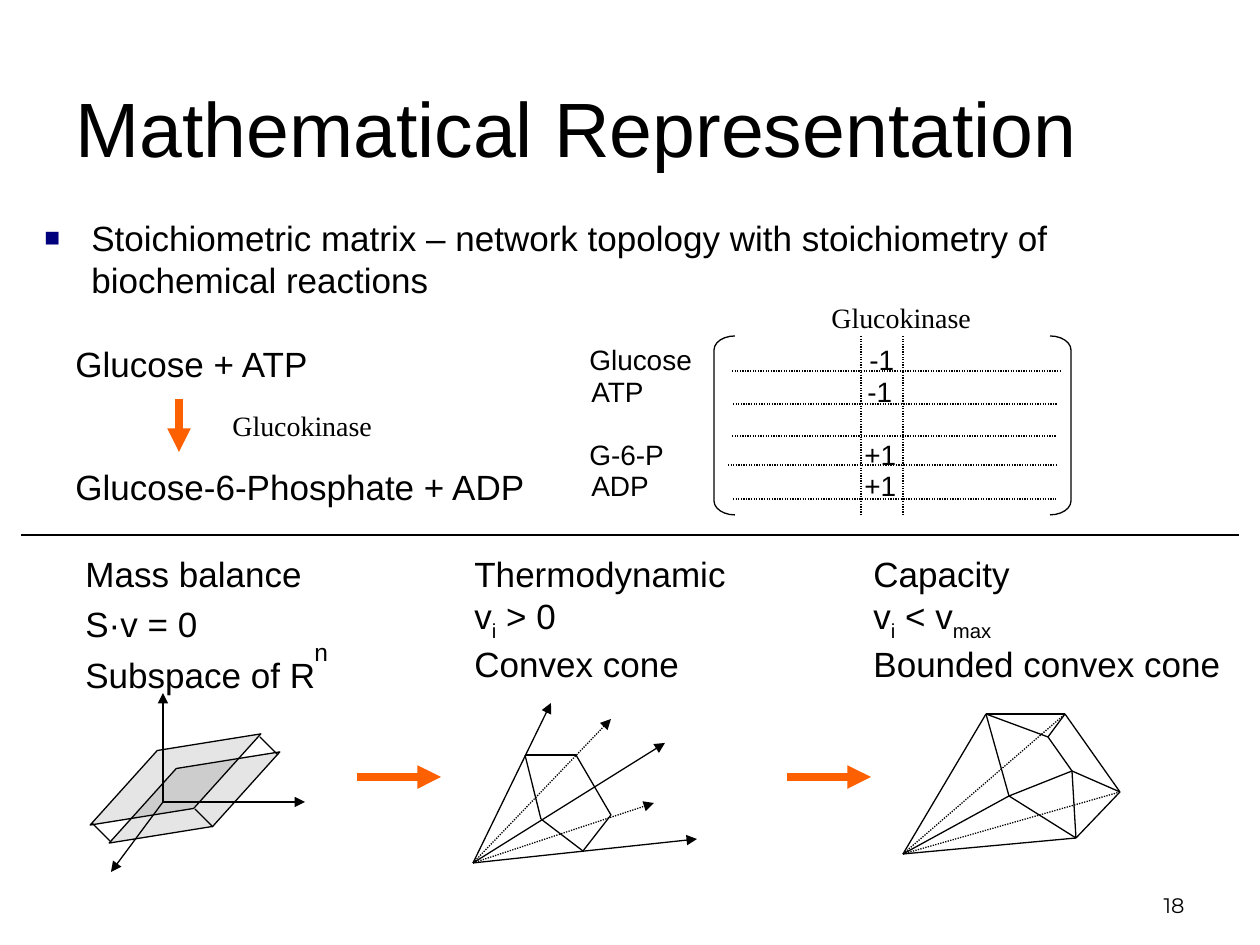
from dataclasses import dataclass
from itertools import pairwise
from typing import NamedTuple

from lxml import etree
from pptx import Presentation
from pptx.dml.color import RGBColor
from pptx.enum.shapes import MSO_CONNECTOR, MSO_SHAPE
from pptx.enum.text import MSO_ANCHOR, PP_ALIGN
from pptx.oxml.ns import qn
from pptx.util import Pt

STRAIGHT = MSO_CONNECTOR.STRAIGHT
PARALLELOGRAM = MSO_SHAPE.PARALLELOGRAM
BRACKETS = (MSO_SHAPE.LEFT_BRACKET, MSO_SHAPE.RIGHT_BRACKET)
TOP, MIDDLE, BOTTOM = MSO_ANCHOR.TOP, MSO_ANCHOR.MIDDLE, MSO_ANCHOR.BOTTOM
LEFT, RIGHT = PP_ALIGN.LEFT, PP_ALIGN.RIGHT
EMU_PER_PX = 914400 / 126


@dataclass(frozen=True)
class Theme:
    ink: str = "000000"
    accent: str = "FC6000"
    bullet: str = "00007D"
    sans: str = "Arial"
    serif: str = "Times New Roman"
    number_font: str = "Montserrat"
    title: int = 44
    body: int = 20
    label: int = 16
    exponent: int = 14
    number: int = 12
    thin: float = 0.75
    thick: float = 4.5


THEME = Theme()


class Point(NamedTuple):
    x: int
    y: int


class Box(NamedTuple):
    left: int
    top: int
    width: int
    height: int


class Run(NamedTuple):
    text: str
    baseline: int = 0


@dataclass(frozen=True)
class MatrixRow:
    label: str
    coefficient: str
    box: Box
    coefficient_offset: int


@dataclass(frozen=True)
class Constraint:
    box: Box
    paragraphs: list
    space_before: int = 0


def px(length: int) -> int:
    return round(length * EMU_PER_PX)


def add_child(parent, tag: str, **attributes: str):
    return etree.SubElement(parent, qn(tag), attributes)


def add_text(slide, box: Box, paragraphs: list, *, size: int = THEME.body,
             font: str = THEME.sans, align=LEFT, anchor=TOP, space_before: float = 0,
             tab: int = 0, bullet: str = "", hanging: int = 0, wrap: bool = True) -> None:
    """Each paragraph is a string or a list of runs."""
    frame = slide.shapes.add_textbox(*map(px, box)).text_frame
    frame.word_wrap = wrap
    frame.vertical_anchor = anchor
    for index, content in enumerate(paragraphs):
        paragraph = frame.add_paragraph() if index else frame.paragraphs[0]
        paragraph.alignment = align
        if index and space_before:
            paragraph.space_before = Pt(space_before)
        properties = paragraph._p.get_or_add_pPr()
        if bullet:
            properties.set("marL", str(px(hanging)))
            properties.set("indent", str(-px(hanging)))
            add_child(add_child(properties, "a:buClr"), "a:srgbClr", val=THEME.bullet)
            add_child(properties, "a:buSzPct", val="75000")
            add_child(properties, "a:buFont", typeface=THEME.sans)
            add_child(properties, "a:buChar", char=bullet)
        if tab:
            add_child(add_child(properties, "a:tabLst"), "a:tab", pos=str(px(tab)), algn="l")
        for part in [Run(content)] if isinstance(content, str) else content:
            run = paragraph.add_run()
            run.text = part.text
            run.font.size = Pt(size)
            run.font.name = font
            run.font.color.rgb = RGBColor.from_string(THEME.ink)
            if part.baseline:
                run._r.get_or_add_rPr().set("baseline", str(part.baseline * 1000))


def add_line(shapes, start: Point, end: Point, *, color: str = THEME.ink,
             width: float = THEME.thin, dash: str = "solid", arrow: bool = False) -> None:
    """Dash is solid, dotted or fine (evenly broken)."""
    line = shapes.add_connector(STRAIGHT, *map(px, (*start, *end)))
    line.line.color.rgb = RGBColor.from_string(color)
    line.line.width = Pt(width)
    outline = line.line._get_or_add_ln()
    if dash == "dotted":
        add_child(outline, "a:prstDash", val="sysDot")
    elif dash == "fine":
        add_child(add_child(outline, "a:custDash"), "a:ds", d="100000", sp="100000")
    if arrow:
        add_child(outline, "a:tailEnd", type="triangle")
    add_child(line._element.spPr, "a:effectLst")


def add_outlined(shapes, preset, box: Box, adjustment: float):
    shape = shapes.add_shape(preset, *map(px, box))
    shape.shadow.inherit = False
    shape.adjustments[0] = adjustment
    shape.fill.background()
    shape.line.color.rgb = RGBColor.from_string(THEME.ink)
    shape.line.width = Pt(THEME.thin)
    return shape


def add_rays(shapes, origin: Point, ends: list, **style) -> None:
    for end in ends:
        add_line(shapes, origin, end, **style)


def add_outline(shapes, corners: list) -> None:
    for start, end in pairwise([*corners, corners[0]]):
        add_line(shapes, start, end)


def draw_subspace(slide) -> None:
    shapes = slide.shapes.add_group_shape().shapes
    add_rays(shapes, Point(163, 802), [Point(163, 693), Point(305, 802), Point(111, 872)],
             arrow=True)
    for left, top in ((84, 748), (103, 766)):
        plane = add_outlined(shapes, PARALLELOGRAM, Box(left, top, 183, 63), 1.24)
        plane.rotation = 350.9
        plane.fill.solid()
        plane.fill.fore_color.rgb = RGBColor.from_string(THEME.ink)
        tint = plane._element.spPr.find(qn("a:solidFill")).find(qn("a:srgbClr"))
        add_child(tint, "a:alpha", val="10000")
    for x, y in ((260, 737), (195, 809), (92, 823)):
        add_line(shapes, Point(x, y), Point(x + 18, y + 18))


def draw_cone(slide) -> None:
    shapes = slide.shapes.add_group_shape().shapes
    apex = Point(473, 863)
    add_rays(shapes, apex, [Point(551, 703), Point(665, 743), Point(697, 839)], arrow=True)
    add_rays(shapes, apex, [Point(654, 803), Point(611, 719)], dash="dotted", arrow=True)
    add_outline(shapes, [Point(525, 755), Point(541, 819), Point(583, 851),
                         Point(611, 815), Point(576, 755)])


def draw_bounded_cone(slide) -> None:
    shapes = slide.shapes.add_group_shape().shapes
    apex = Point(903, 854)
    rim = [Point(986, 714), Point(1009, 796), Point(1076, 838), Point(1120, 792), Point(1065, 714)]
    top_left, inner_left, lower, far_right, top_right = rim
    front, back = Point(1072, 771), Point(1048, 737)
    add_rays(shapes, apex, [top_left, inner_left, lower])
    add_rays(shapes, apex, [far_right, top_right], dash="dotted")
    add_outline(shapes, rim)
    add_rays(shapes, front, [lower, inner_left, far_right, back])
    add_rays(shapes, back, [top_left, top_right])


def draw_matrix(slide) -> None:
    for preset, left in zip(BRACKETS, (714, 1050)):
        add_outlined(slide.shapes, preset, Box(left, 336, 21, 179), 0.67)
    for x, dash in ((861, "fine"), (903, "dotted")):
        add_line(slide.shapes, Point(x, 336), Point(x, 515), dash=dash)
    for left, right, y in ((732, 1060, 371), (733, 1058, 404), (732, 1057, 436),
                           (728, 1057, 465), (733, 1056, 499)):
        add_line(slide.shapes, Point(left, y), Point(right, y), dash="fine")
    for row in (MatrixRow("Glucose", "-1", Box(577, 336, 336, 47), 280),
                MatrixRow("ATP", "-1", Box(579, 368, 336, 47), 276),
                MatrixRow("G-6-P", "+1", Box(577, 431, 347, 47), 275),
                MatrixRow("ADP", "+1", Box(579, 462, 355, 47), 273)):
        add_text(slide, row.box, [f"{row.label}\t{row.coefficient}"], size=THEME.label,
                 tab=row.coefficient_offset)
    add_text(slide, Box(819, 294, 210, 47), ["Glucokinase"], size=THEME.label, font=THEME.serif)


def main() -> None:
    deck = Presentation()
    deck.slide_width, deck.slide_height = px(1260), px(945)
    slide = deck.slides.add_slide(deck.slide_layouts[6])

    add_text(slide, Box(63, 32, 1134, 189), ["Mathematical Representation"],
             size=THEME.title, anchor=MIDDLE)
    add_text(slide, Box(32, 210, 1155, 100),
             ["Stoichiometric matrix – network topology with stoichiometry of biochemical reactions"],
             bullet="■", hanging=47)

    for top, side in ((336, "Glucose + ATP"), (459, "Glucose-6-Phosphate + ADP")):
        add_text(slide, Box(63, top, 510, 53), [side])
    add_text(slide, Box(220, 402, 210, 47), ["Glucokinase"], size=THEME.label, font=THEME.serif)
    draw_matrix(slide)

    add_line(slide.shapes, Point(21, 535), Point(1239, 535))
    for constraint in (
        Constraint(Box(73, 546, 388, 156), ["Mass balance", "S·v = 0", "Subspace of R"], 5),
        Constraint(Box(462, 546, 284, 145),
                   ["Thermodynamic", [Run("v"), Run("i", -25), Run(" > 0")], "Convex cone"]),
        Constraint(Box(861, 546, 399, 145),
                   ["Capacity", [Run("v"), Run("i", -25), Run(" < v"), Run("max", -25)],
                    "Bounded convex cone"]),
    ):
        add_text(slide, constraint.box, constraint.paragraphs,
                 space_before=constraint.space_before)
    add_text(slide, Box(302, 631, 39, 43), ["n"], size=THEME.exponent, wrap=False)

    draw_subspace(slide)
    draw_cone(slide)
    draw_bounded_cone(slide)
    for start, end in ((Point(179, 399), Point(179, 452)), (Point(357, 777), Point(441, 777)),
                       (Point(787, 777), Point(871, 777))):
        add_line(slide.shapes, start, end, color=THEME.accent, width=THEME.thick, arrow=True)
    add_text(slide, Box(903, 861, 294, 63), ["18"], size=THEME.number,
             font=THEME.number_font, align=RIGHT, anchor=BOTTOM)
    deck.save("out.pptx")


if __name__ == "__main__":
    main()
